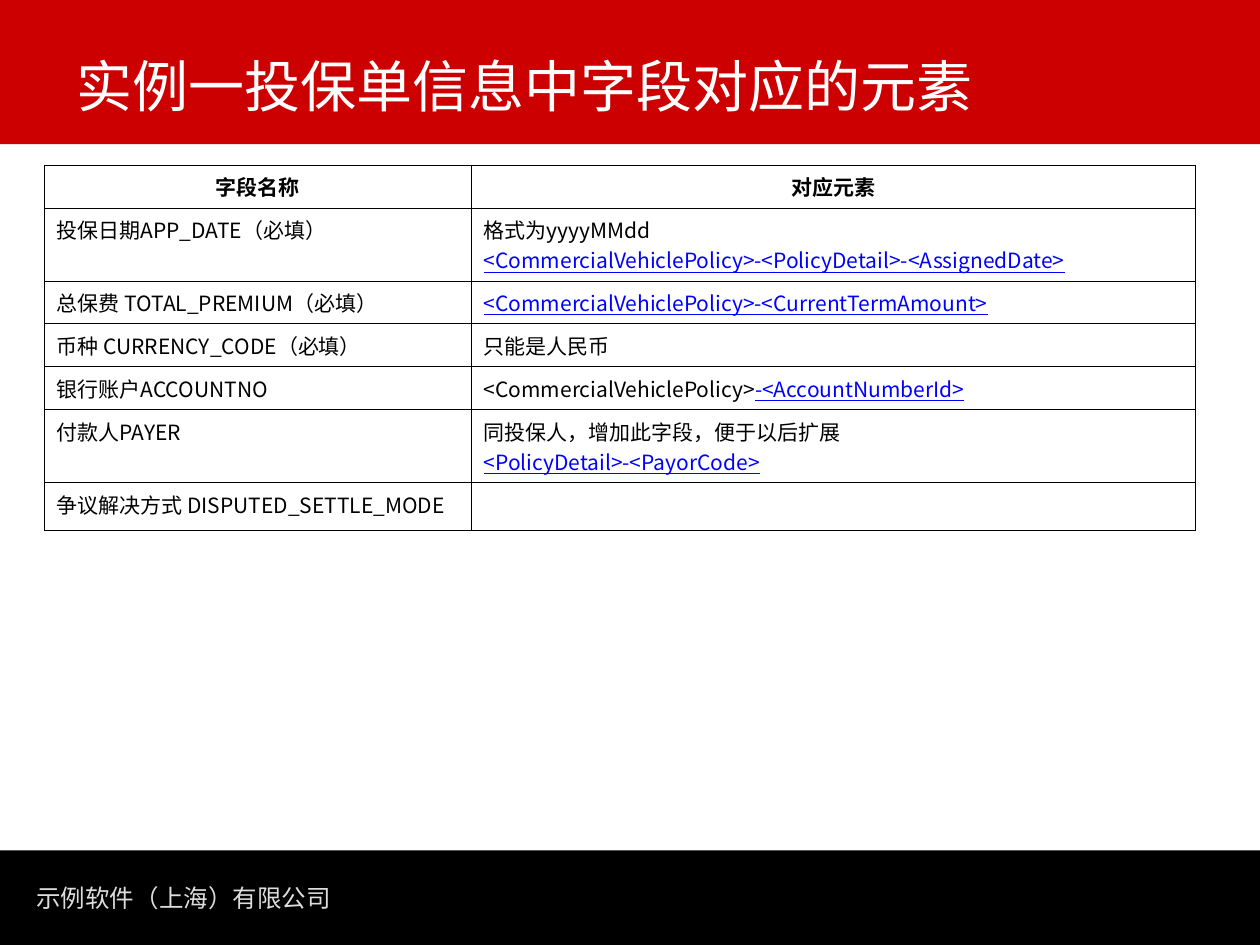
"""Builds the slide that maps policy fields to their XML elements."""
from lxml.etree import SubElement
from pptx import Presentation
from pptx.dml.color import RGBColor
from pptx.enum.shapes import MSO_SHAPE
from pptx.enum.text import MSO_ANCHOR, PP_ALIGN
from pptx.oxml.ns import qn
from pptx.util import Inches, Pt

THEME = {
    "red": RGBColor(0xCC, 0x00, 0x00),
    "black": RGBColor(0x00, 0x00, 0x00),
    "white": RGBColor(0xFF, 0xFF, 0xFF),
    "grey": RGBColor(0xDD, 0xDD, 0xDD),
    "link": RGBColor(0x00, 0x00, 0xFF),
    "title": 32, "footer": 14, "body": 12, "border": 0.45,
    "head_font": "DejaVu Sans", "body_font": "Noto Sans CJK SC",
}
ROWS = [
    ("字段名称", "对应元素"),
    ("投保日期APP_DATE（必填）",
     "格式为yyyyMMdd\n|<CommercialVehiclePolicy>-<PolicyDetail>-<AssignedDate>"),
    ("总保费 TOTAL_PREMIUM（必填）", "|<CommercialVehiclePolicy>-<CurrentTermAmount>"),
    ("币种 CURRENCY_CODE（必填）", "只能是人民币"),
    ("银行账户ACCOUNTNO", "<CommercialVehiclePolicy>|-<AccountNumberId>"),
    ("付款人PAYER", "同投保人，增加此字段，便于以后扩展\n|<PolicyDetail>-<PayorCode>"),
    ("争议解决方式 DISPUTED_SETTLE_MODE", ""),
]
COLS = [3.39, 5.75]
HEIGHTS = [0.34, 0.58, 0.34, 0.34, 0.34, 0.58, 0.38]


def style(p, size, font, color):
    p.font.size = Pt(size)
    p.font.name = font
    p.font.color.rgb = color
    SubElement(p._p.pPr.find(qn("a:defRPr")), qn("a:ea"), typeface=font)


def set_borders(cell):
    for side in ("L", "R", "T", "B"):
        ln = SubElement(cell._tc.get_or_add_tcPr(), qn(f"a:ln{side}"),
                        w=str(Pt(THEME["border"])))
        fill = SubElement(ln, qn("a:solidFill"))
        SubElement(fill, qn("a:srgbClr"), val=str(THEME["black"]))


prs = Presentation()
prs.slide_width, prs.slide_height = Inches(10), Inches(7.5)
W, H = prs.slide_width, prs.slide_height
s = prs.slides.add_slide(prs.slide_layouts[6])

for top, height, color in ((0.9, 0.1, "black"), (0, 0.15, "red")):
    sp = s.shapes.add_shape(MSO_SHAPE.RECTANGLE, 0, int(H * top), W,
                            int(H * height) + Inches(0.02))
    sp.shadow.inherit = False
    sp.fill.solid()
    sp.fill.fore_color.rgb = THEME[color]
    sp.line.fill.background()

for text, left, top, width, height, size, color, anchor, wrap in (
    ("示例软件（上海）有限公司", 0.19, 6.96, 2.54, 0.34, "footer", "grey", MSO_ANCHOR.TOP, False),
    ("实例一投保单信息中字段对应的元素", 0.51, 0.05, 9.21, 0.94, "title", "white",
     MSO_ANCHOR.BOTTOM, True),
):
    sp = s.shapes.add_textbox(*map(Inches, (left, top, width, height)))
    tf = sp.text_frame
    tf.word_wrap = wrap
    tf.vertical_anchor = anchor
    tf.text = text
    style(tf.paragraphs[0], THEME[size], THEME["head_font"], THEME[color])

table = s.shapes.add_table(len(ROWS), len(COLS), Inches(0.35), Inches(1.31),
                           Inches(sum(COLS)), Inches(sum(HEIGHTS))).table
table.first_row = table.horz_banding = False
for col, width in zip(table.columns, COLS):
    col.width = Inches(width)
for i, (row, height, texts) in enumerate(zip(table.rows, HEIGHTS, ROWS)):
    row.height = Inches(height)
    for cell, text in zip(row.cells, texts):
        set_borders(cell)
        cell.fill.background()
        cell.text = text.replace("|", "")
        for p, line in zip(cell.text_frame.paragraphs, text.split("\n")):
            plain, _, link = line.partition("|")
            p.clear()
            p.alignment = PP_ALIGN.JUSTIFY if i else PP_ALIGN.CENTER
            style(p, THEME["body"], THEME["body_font"], THEME["black"])
            p.font.bold = i == 0
            if plain:
                p.add_run().text = plain
            if link:
                r = p.add_run()
                r.text = link
                r.font.color.rgb = THEME["link"]
                r.font.underline = True

prs.save("out.pptx")
